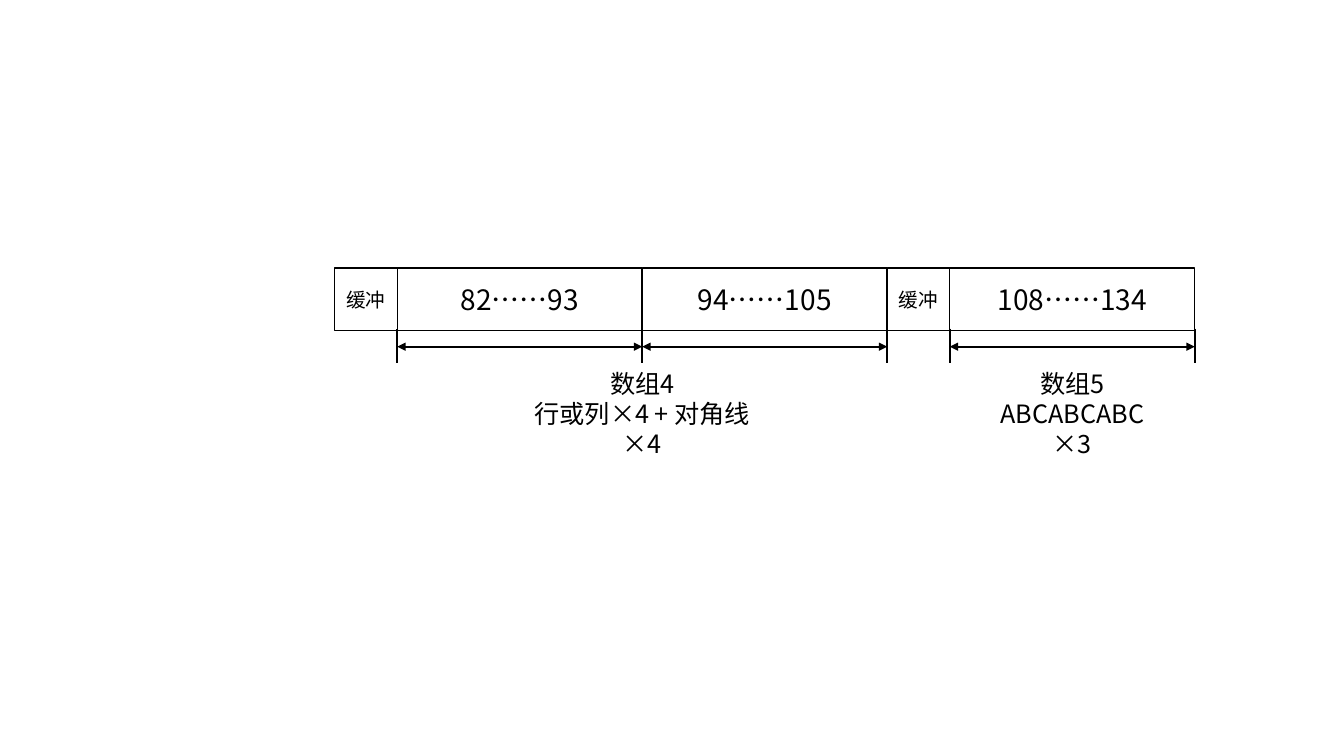
from pptx import Presentation
from pptx.dml.color import RGBColor
from pptx.enum.shapes import MSO_CONNECTOR, MSO_SHAPE
from pptx.enum.text import MSO_ANCHOR, MSO_AUTO_SIZE, PP_ALIGN
from pptx.oxml.ns import qn
from pptx.util import Inches, Pt
from lxml.etree import SubElement

SEGMENTS = [
    ("缓冲", "buffer"),
    ("82……93", "data"),
    ("94……105", "data"),
    ("缓冲", "buffer"),
    ("108……134", "data"),
]
GROUPS = [
    {"lines": ["数组4", "行或列×4 + 对角线×4"], "segments": (1, 2), "width": 2.69},
    {"lines": ["数组5", "ABCABCABC×3"], "segments": (4, 4), "width": 1.87},
]
THEME = {
    "font": "Noto Sans CJK SC",
    "ink": RGBColor(0, 0, 0),
    "paper": RGBColor(255, 255, 255),
    "size": {"buffer": 14, "data": 20, "group": 18},
    "outline": 1,
    "dimension": 1.5,
}
SEGMENT_WIDTH = {"buffer": 0.62, "data": 2.43}
BAR_LEFT, BAR_TOP, BAR_HEIGHT = 3.32, 2.66, 0.62
TICK_TOP, TICK_BOTTOM, ARROW_Y = 3.26, 3.6, 3.44
GROUP_TOP, GROUP_HEIGHT = 3.6, 0.71


def write(frame, lines, size):
    frame.text = "\n".join(lines)
    frame.word_wrap = True
    for paragraph in frame.paragraphs:
        paragraph.alignment = PP_ALIGN.CENTER
        for run in paragraph.runs:
            run.font.name = THEME["font"]
            run.font.size = Pt(size)
            run.font.color.rgb = THEME["ink"]
            SubElement(run.font._element, qn("a:ea"), typeface=THEME["font"])


def add_segment(slide, label, kind, left):
    segment = slide.shapes.add_shape(
        MSO_SHAPE.RECTANGLE, Inches(left), Inches(BAR_TOP),
        Inches(SEGMENT_WIDTH[kind]), Inches(BAR_HEIGHT))
    segment.shadow.inherit = False
    segment.fill.solid()
    segment.fill.fore_color.rgb = THEME["paper"]
    segment.line.color.rgb = THEME["ink"]
    segment.line.width = Pt(THEME["outline"])
    segment.text_frame.vertical_anchor = MSO_ANCHOR.MIDDLE
    write(segment.text_frame, [label], THEME["size"][kind])


def add_line(slide, x1, y1, x2, y2, arrows=False):
    line = slide.shapes.add_connector(
        MSO_CONNECTOR.STRAIGHT, Inches(x1), Inches(y1), Inches(x2), Inches(y2))
    line.line.color.rgb = THEME["ink"]
    line.line.width = Pt(THEME["dimension"])
    if arrows:
        for end in ("a:headEnd", "a:tailEnd"):
            SubElement(line.line._get_or_add_ln(), qn(end), type="triangle")
    SubElement(line._element.spPr, qn("a:effectLst"))


def add_group(slide, lines, center, width):
    group = slide.shapes.add_textbox(
        Inches(center - width / 2), Inches(GROUP_TOP),
        Inches(width), Inches(GROUP_HEIGHT))
    write(group.text_frame, lines, THEME["size"]["group"])
    group.text_frame.auto_size = MSO_AUTO_SIZE.SHAPE_TO_FIT_TEXT


def main():
    presentation = Presentation()
    presentation.slide_width = Inches(13.33)
    presentation.slide_height = Inches(7.5)
    slide = presentation.slides.add_slide(presentation.slide_layouts[6])

    edges = [BAR_LEFT]
    for label, kind in SEGMENTS:
        add_segment(slide, label, kind, edges[-1])
        edges.append(edges[-1] + SEGMENT_WIDTH[kind])

    for group in GROUPS:
        first, last = group["segments"]
        for edge in edges[first:last + 2]:
            add_line(slide, edge, TICK_TOP, edge, TICK_BOTTOM)
        for index in range(first, last + 1):
            add_line(slide, edges[index], ARROW_Y, edges[index + 1], ARROW_Y, arrows=True)
        center = (edges[first] + edges[last + 1]) / 2
        add_group(slide, group["lines"], center, group["width"])

    presentation.save("out.pptx")


if __name__ == "__main__":
    main()
